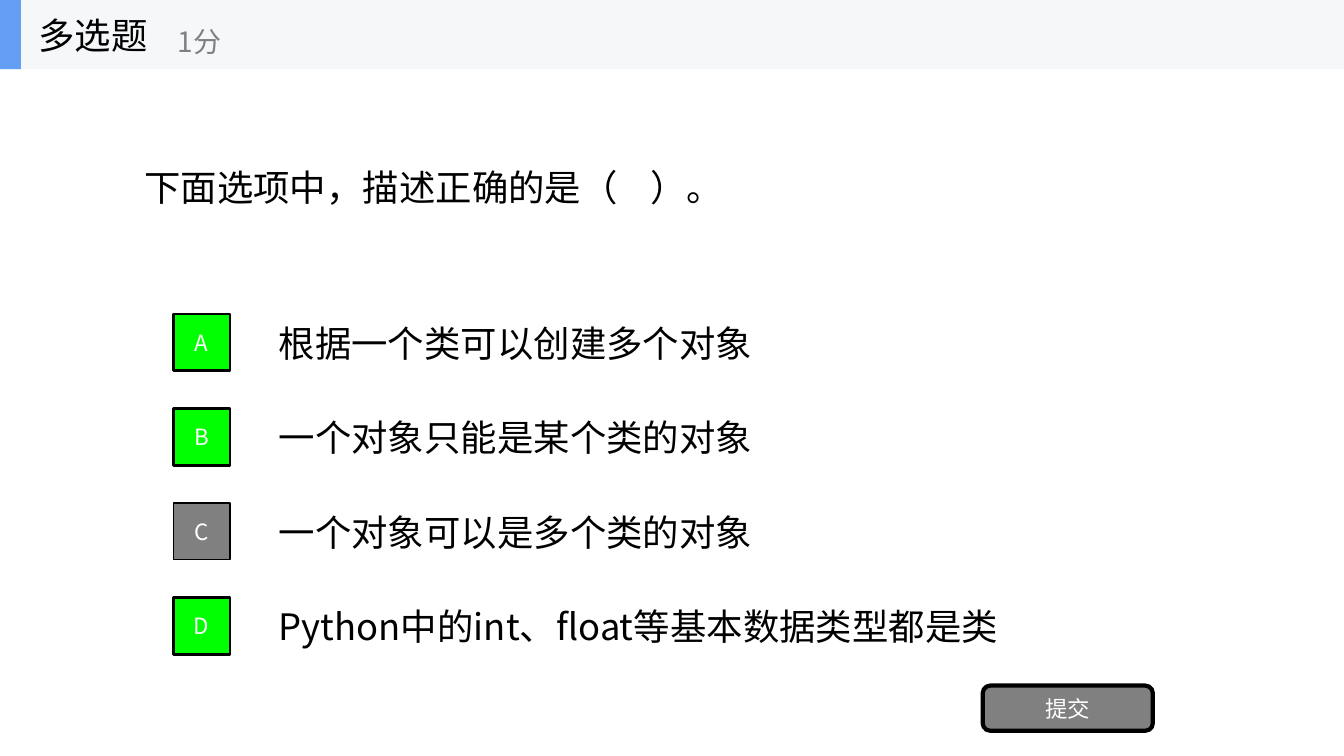
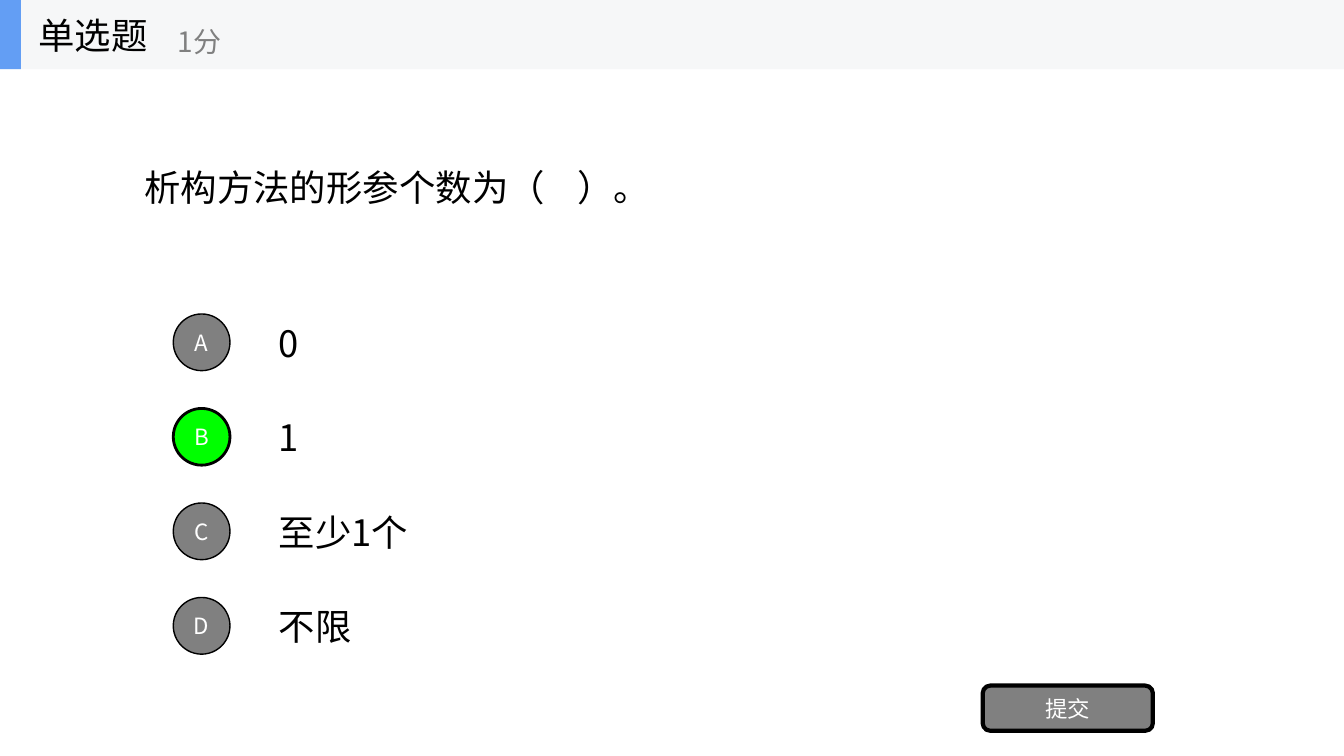
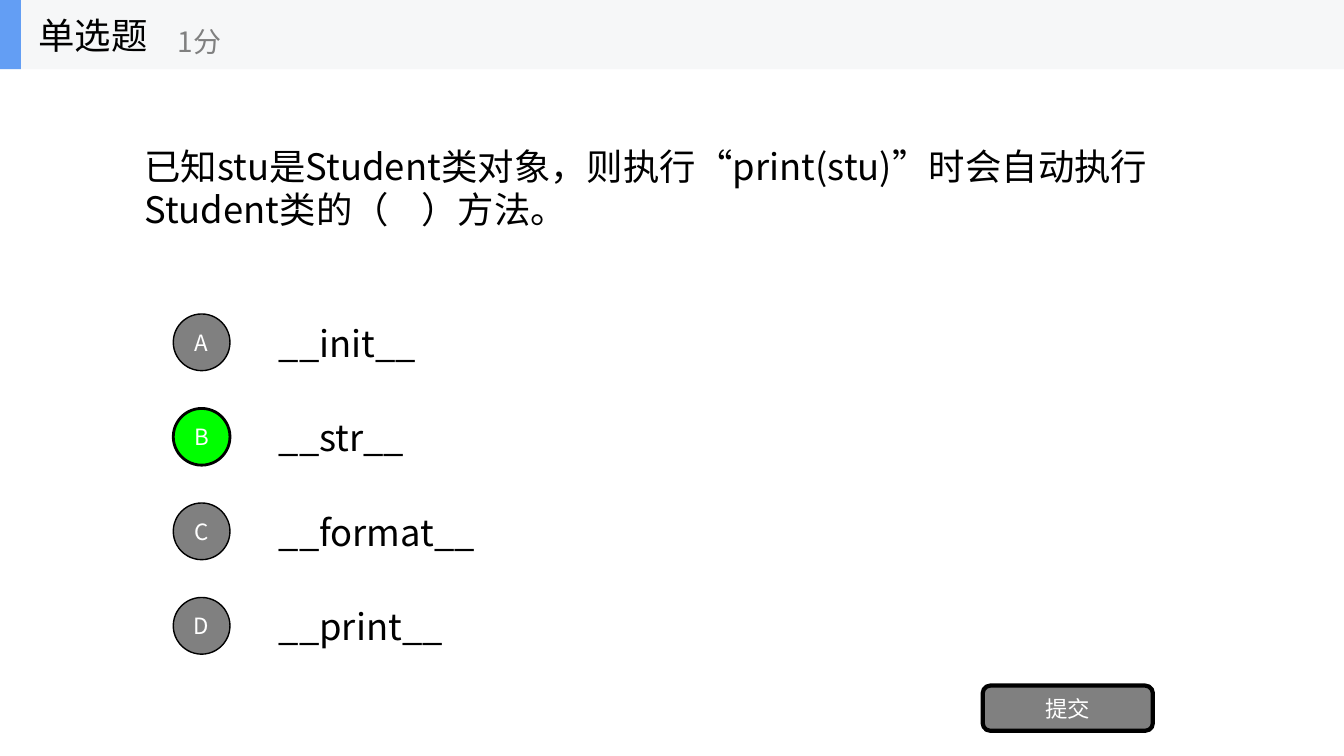
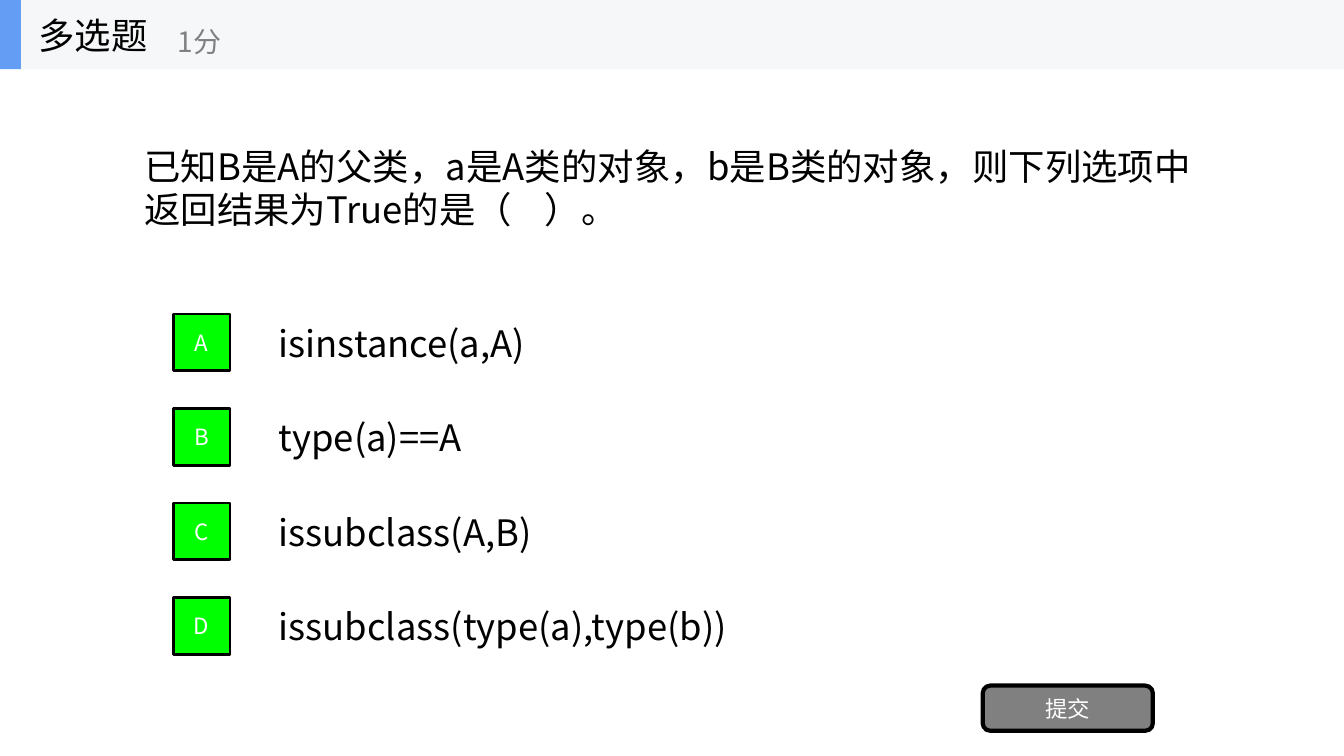
"""Builds a four-slide quiz on Python classes."""
from dataclasses import dataclass, field
from typing import Any

from lxml.etree import SubElement
from pptx import Presentation
from pptx.dml.color import RGBColor
from pptx.enum.shapes import MSO_SHAPE as Preset
from pptx.enum.text import MSO_ANCHOR as Anchor, PP_ALIGN as Align
from pptx.oxml.ns import qn
from pptx.util import Pt

PX = 9525
WIDTH, HEIGHT = 1280, 720
BAND_HEIGHT = 66
OPTION_TOP, OPTION_HEIGHT, OPTION_PITCH = 293, 67, 90
BADGE_SIZE = 54


@dataclass(frozen=True)
class Theme:
    """Colours, type sizes and font of the quiz."""
    font: str = "Noto Sans CJK SC"
    ink: str = "000000"
    paper: str = "FFFFFF"
    muted: str = "808080"
    correct: str = "00FF00"
    band: str = "F6F7F8"
    accent: str = "639EF4"
    body: int = 26
    points: int = 20
    label: int = 16


def write(frame, text, *, font, size, color, align=Align.LEFT):
    """Puts one formatted, vertically centred paragraph in a text frame."""
    frame.word_wrap = True
    frame.vertical_anchor = Anchor.MIDDLE
    paragraph = frame.paragraphs[0]
    paragraph.alignment = align
    run = paragraph.add_run()
    run.text = text
    run.font.size = Pt(size)
    run.font.color.rgb = RGBColor.from_string(color)
    run.font.name = font
    SubElement(run._r.get_or_add_rPr(), qn("a:ea"), typeface=font)


@dataclass
class Quiz:
    """Draws quiz elements on the current slide."""
    deck: Any
    theme: Theme = field(default_factory=Theme)
    slide: Any = None

    def new_slide(self):
        """Starts a blank slide."""
        self.slide = self.deck.slides.add_slide(self.deck.slide_layouts[6])

    def text(self, text, box, *, size=None, color=None):
        """Adds a left-aligned text box."""
        label = self.slide.shapes.add_textbox(*(n * PX for n in box))
        write(label.text_frame, text, font=self.theme.font,
              size=size or self.theme.body, color=color or self.theme.ink)

    def shape(self, preset, box, fill, *, line=0, text=""):
        """Adds a filled shape with an optional outline and centred label."""
        shape = self.slide.shapes.add_shape(preset, *(n * PX for n in box))
        shape.shadow.inherit = False
        shape.fill.solid()
        shape.fill.fore_color.rgb = RGBColor.from_string(fill)
        if line:
            shape.line.color.rgb = RGBColor.from_string(self.theme.ink)
            shape.line.width = Pt(line)
        else:
            shape.line.fill.background()
        if text:
            write(shape.text_frame, text, font=self.theme.font, size=self.theme.label,
                  color=self.theme.paper, align=Align.CENTER)

    def header(self, kind):
        """Adds the top band with the question kind and its points."""
        self.shape(Preset.RECTANGLE, (0, 0, WIDTH, BAND_HEIGHT), self.theme.band)
        self.shape(Preset.RECTANGLE, (0, 0, 20, BAND_HEIGHT), self.theme.accent)
        self.text(kind, (27, 0, 200, BAND_HEIGHT))
        self.text("1分", (160, 12, 240, 54), size=self.theme.points, color=self.theme.muted)

    def option(self, row, letter, answer, *, badge, correct):
        """Adds one answer with its lettered badge."""
        top = OPTION_TOP + row * OPTION_PITCH
        self.text(answer, (256, top, 896, OPTION_HEIGHT))
        badge_top = top + (OPTION_HEIGHT - BADGE_SIZE) // 2
        self.shape(badge, (165, badge_top, BADGE_SIZE, BADGE_SIZE),
                   self.theme.correct if correct else self.theme.muted,
                   line=2 if correct else 1, text=letter)

    def submit_button(self):
        """Adds the submit button."""
        self.shape(Preset.ROUNDED_RECTANGLE, (936, 653, 162, 43), self.theme.muted,
                   line=3, text="提交")

    def question(self, prompt, answers, correct, *, multiple):
        """Adds a complete question slide."""
        self.new_slide()
        self.text(prompt, (128, BAND_HEIGHT, 1024, 225))
        badge = Preset.RECTANGLE if multiple else Preset.OVAL
        for row, (letter, answer) in enumerate(zip("ABCD", answers)):
            self.option(row, letter, answer, badge=badge, correct=letter in correct)
        self.submit_button()
        self.header("多选题" if multiple else "单选题")


QUESTIONS = [
    ("下面选项中，描述正确的是（    ）。",
     ["根据一个类可以创建多个对象", "一个对象只能是某个类的对象",
      "一个对象可以是多个类的对象", "Python中的int、float等基本数据类型都是类"],
     "ABD", True),
    ("析构方法的形参个数为（    ）。",
     ["0", "1", "至少1个", "不限"],
     "B", False),
    ("已知stu是Student类对象，则执行“print(stu)”时会自动执行Student类的（    ）方法。",
     ["__init__", "__str__", "__format__", "__print__"],
     "B", False),
    ("已知B是A的父类，a是A类的对象，b是B类的对象，则下列选项中返回结果为True的是（    ）。",
     ["isinstance(a,A)", "type(a)==A", "issubclass(A,B)", "issubclass(type(a),type(b))"],
     "ABCD", True),
]


def main():
    """Builds and saves the quiz."""
    deck = Presentation()
    deck.slide_width, deck.slide_height = WIDTH * PX, HEIGHT * PX
    quiz = Quiz(deck)
    for prompt, answers, correct, multiple in QUESTIONS:
        quiz.question(prompt, answers, correct, multiple=multiple)
    deck.save("out.pptx")


if __name__ == "__main__":
    main()
